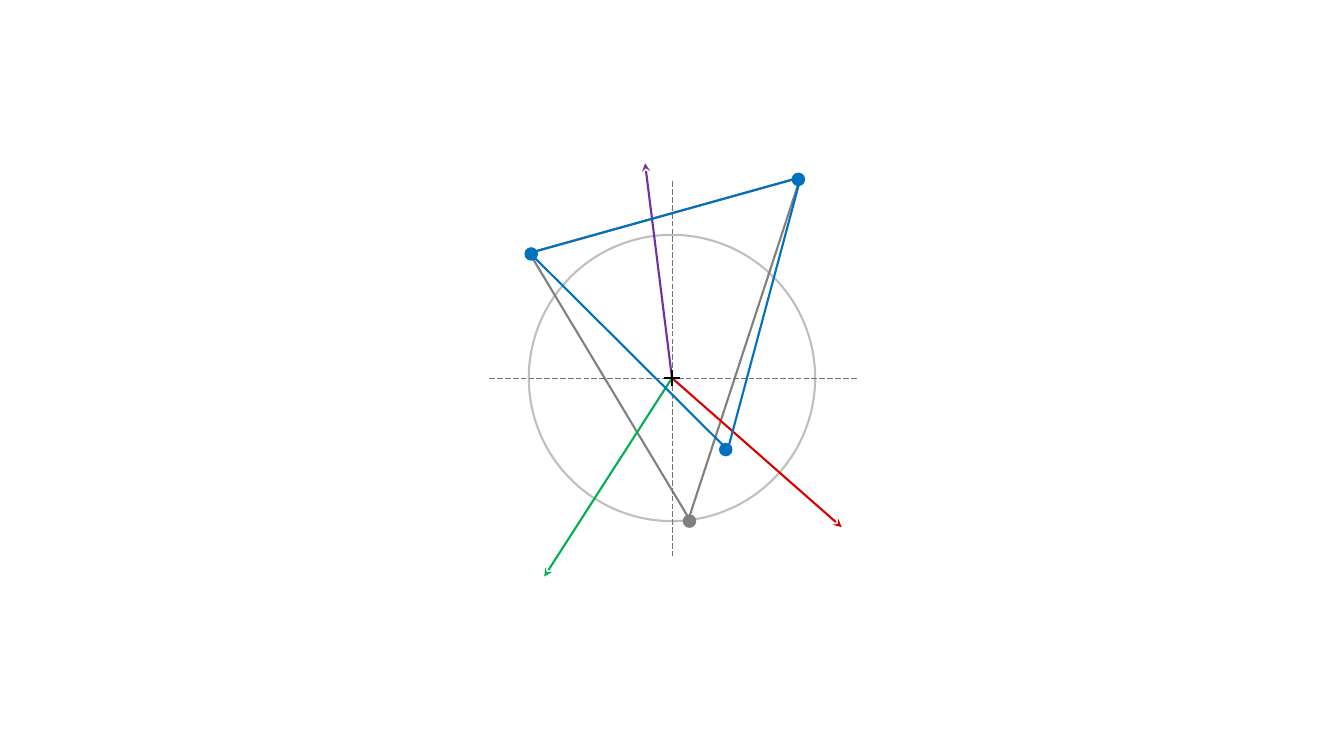
from dataclasses import dataclass

from lxml.etree import SubElement
from pptx import Presentation
from pptx.dml.color import RGBColor
from pptx.enum.dml import MSO_LINE
from pptx.enum.shapes import MSO_CONNECTOR, MSO_SHAPE
from pptx.oxml.ns import qn
from pptx.util import Inches, Pt

WIDTH, HEIGHT = Inches(13.33), Inches(7.5)
UNIT = HEIGHT / 100
ORIGIN = (0, 0)


@dataclass(frozen=True)
class Theme:
    circle: str = "BFBFBF"
    axis: str = "767171"
    before: str = "808080"
    after: str = "0070C0"
    purple: str = "7030A0"
    red: str = "DA0000"
    green: str = "00B050"
    cross: str = "000000"
    thin: float = 0.5
    rim: float = 1
    stroke: float = 1.5


THEME = Theme()


def place(x, y):
    """Turn an offset from the slide centre, in percent of its height, into EMU."""
    return round(WIDTH / 2 + x * UNIT), round(HEIGHT / 2 + y * UNIT)


def set_line(line, color, width):
    line.color.rgb = RGBColor.from_string(color)
    line.width = Pt(width)


def add_figure(shapes, kind, center, size, color, width=THEME.stroke, filled=False):
    x, y = center
    w, h = size
    s = shapes.add_shape(kind, *place(x - w / 2, y - h / 2),
                         round(w * UNIT), round(h * UNIT))
    s.shadow.inherit = False
    if filled:
        s.fill.solid()
        s.fill.fore_color.rgb = RGBColor.from_string(color)
    else:
        s.fill.background()
    set_line(s.line, color, width)
    return s


def add_triangle(shapes, center, size, apex, color):
    s = add_figure(shapes, MSO_SHAPE.ISOSCELES_TRIANGLE, center, size, color)
    s.adjustments[0] = apex
    s.rotation = 164.4


def add_dot(shapes, center, color):
    add_figure(shapes, MSO_SHAPE.OVAL, center, (1.6, 1.6), color, THEME.rim, filled=True)


def add_line(shapes, start, end, color, width=THEME.stroke, dashed=False, arrow=False):
    c = shapes.add_connector(MSO_CONNECTOR.STRAIGHT, *place(*start), *place(*end))
    set_line(c.line, color, width)
    if dashed:
        c.line.dash_style = MSO_LINE.LONG_DASH
    props = c._element.spPr
    if arrow:
        SubElement(props.find(qn("a:ln")), qn("a:tailEnd"), type="stealth")
    SubElement(props, qn("a:effectLst"))


def main():
    prs = Presentation()
    prs.slide_width, prs.slide_height = WIDTH, HEIGHT
    slide = prs.slides.add_slide(prs.slide_layouts[6])
    shapes = slide.shapes.add_group_shape().shapes

    add_figure(shapes, MSO_SHAPE.OVAL, ORIGIN, (37.87, 37.87), THEME.circle)
    add_triangle(shapes, (4.38, -2.53), (37.2, 39.47), 0.708, THEME.before)

    for start, end in (((0, -26), (0, 23.6)), ((24.4, 0), (-24.4, 0))):
        add_line(shapes, start, end, THEME.axis, THEME.thin, dashed=True)

    for center, color in (((16.71, -26.27), THEME.after),
                          ((-18.62, -16.4), THEME.after),
                          ((2.31, 18.93), THEME.before)):
        add_dot(shapes, center, color)

    for tip, color in (((-3.56, -28.4), THEME.purple),
                       ((22.44, 19.73), THEME.red),
                       ((-16.89, 26.27), THEME.green)):
        add_line(shapes, ORIGIN, tip, color, arrow=True)

    for x, y in ((0, 1), (1.07, 0)):
        add_line(shapes, (-x, -y), (x, y), THEME.cross)

    add_dot(shapes, (7.11, 9.47), THEME.after)
    add_triangle(shapes, (3.44, -6.07), (37.2, 32.13), 0.511, THEME.after)

    prs.save("out.pptx")


if __name__ == "__main__":
    main()
